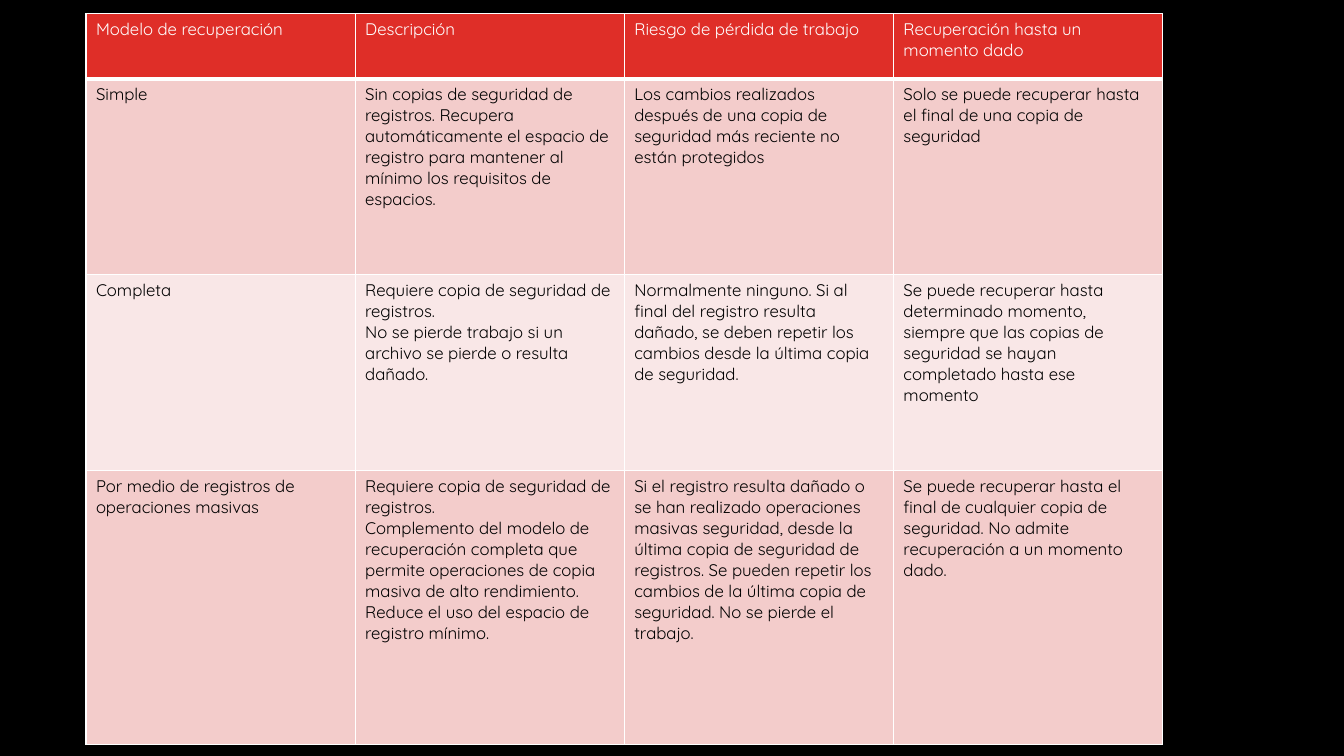
from lxml.etree import SubElement
from pptx import Presentation
from pptx.dml.color import RGBColor
from pptx.oxml.ns import qn
from pptx.util import Pt


def color(hex_string):
    return RGBColor.from_string(hex_string)


def add_borders(cell, top, bottom):
    """Draw white borders; call before the fill is set, as the schema orders them."""
    properties = cell._tc.get_or_add_tcPr()
    for side, width in (("lnL", 1), ("lnR", 1), ("lnT", top), ("lnB", bottom)):
        line = SubElement(properties, qn(f"a:{side}"), w=str(Pt(width)))
        fill = SubElement(line, qn("a:solidFill"))
        SubElement(fill, qn("a:srgbClr"), val="FFFFFF")


HEADER = ["Modelo de recuperación", "Descripción", "Riesgo de pérdida de trabajo",
          "Recuperación hasta un momento dado"]
SIMPLE = [
    "Simple",
    "Sin copias de seguridad de registros. Recupera automáticamente el espacio de "
    "registro para mantener al mínimo los requisitos de espacios.",
    "Los cambios realizados después de una copia de seguridad más reciente no están "
    "protegidos",
    "Solo se puede recuperar hasta el final de una copia de seguridad",
]
FULL = [
    "Completa",
    "Requiere copia de seguridad de registros.\n"
    "No se pierde trabajo si un archivo se pierde o resulta dañado.",
    "Normalmente ninguno. Si al final del registro resulta dañado, se deben repetir "
    "los cambios desde la última copia de seguridad.",
    "Se puede recuperar hasta determinado momento, siempre que las copias de "
    "seguridad se hayan completado hasta ese momento",
]
BULK_LOGGED = [
    "Por medio de registros de operaciones masivas",
    "Requiere copia de seguridad de registros.\n"
    "Complemento del modelo de recuperación completa que permite operaciones de copia "
    "masiva de alto rendimiento. Reduce el uso del espacio de registro mínimo.",
    "Si el registro resulta dañado o se han realizado operaciones masivas seguridad, "
    "desde la última copia de seguridad de registros. Se pueden repetir los cambios "
    "de la última copia de seguridad. No se pierde el trabajo.",
    "Se puede recuperar hasta el final de cualquier copia de seguridad. No admite "
    "recuperación a un momento dado.",
]

# texts, height, fill, font colour, top border, bottom border
ROWS = [
    (HEADER, 46.6, "DF2E28", "FFFFFF", 1, 3),
    (SIMPLE, 139.9, "F3CCCB", "000000", 3, 1),
    (FULL, 139.9, "F9E7E7", "000000", 1, 1),
    (BULK_LOGGED, 195.8, "F3CCCB", "000000", 1, 1),
]

presentation = Presentation()
presentation.slide_width = Pt(960)
presentation.slide_height = Pt(540)
slide = presentation.slides.add_slide(presentation.slide_layouts[6])
slide.background.fill.solid()
slide.background.fill.fore_color.rgb = color("000000")

models = slide.shapes.add_table(len(ROWS), len(HEADER), Pt(61.4), Pt(9.8),
                                Pt(769), Pt(522.2)).table
models.first_row = False
models.horz_banding = False
for column in models.columns:
    column.width = Pt(192.25)

for row_index, (texts, height, fill, ink, top, bottom) in enumerate(ROWS):
    models.rows[row_index].height = Pt(height)
    for column_index, text in enumerate(texts):
        cell = models.cell(row_index, column_index)
        add_borders(cell, top, bottom)
        cell.fill.solid()
        cell.fill.fore_color.rgb = color(fill)
        cell.text = text
        for paragraph in cell.text_frame.paragraphs:
            paragraph.font.name = "Quicksand"
            paragraph.font.size = Pt(12)
            paragraph.font.color.rgb = color(ink)

presentation.save("out.pptx")
